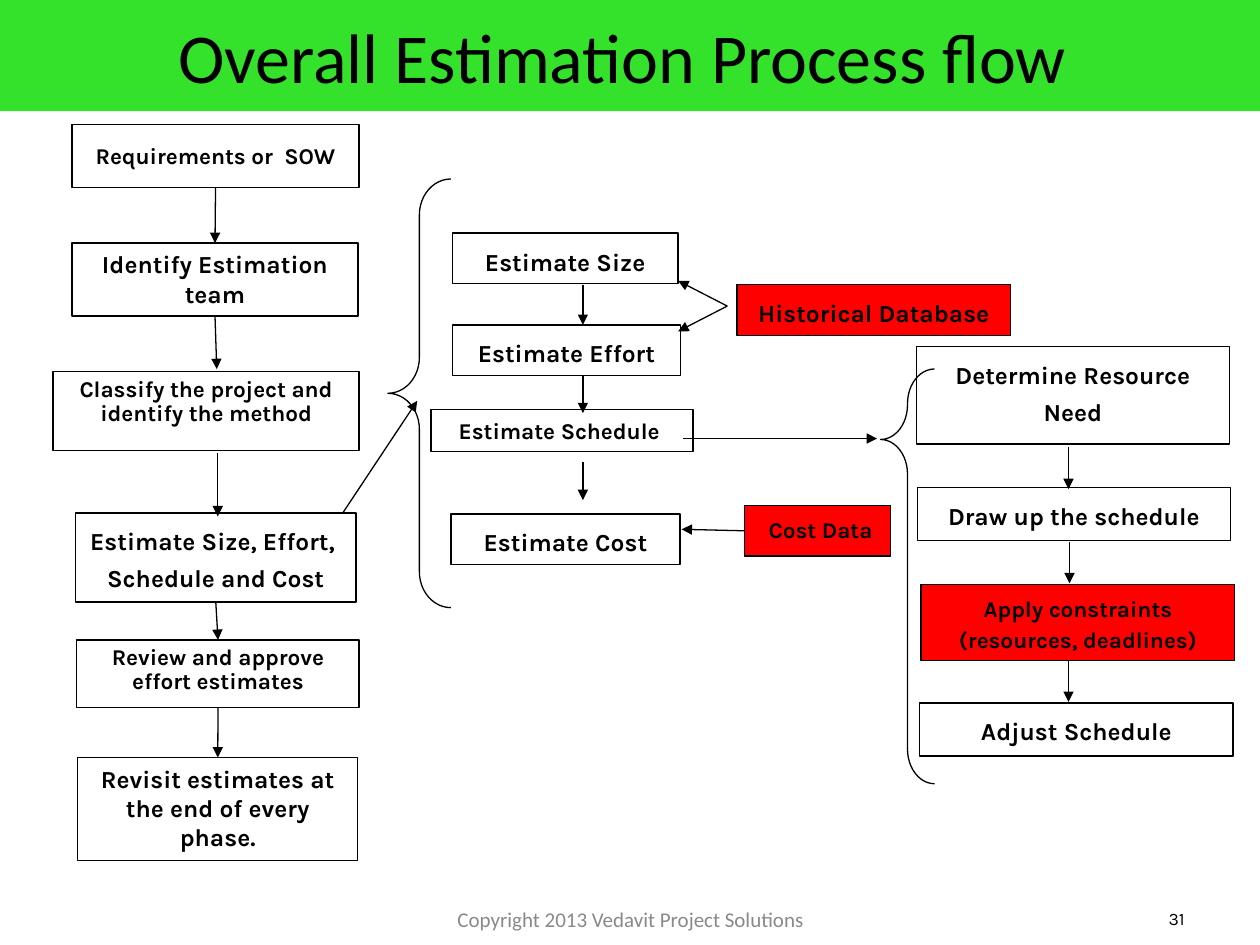
from dataclasses import dataclass
from typing import NamedTuple, Union

from pptx import Presentation
from pptx.dml.color import RGBColor
from pptx.enum.shapes import MSO_CONNECTOR as Conn, MSO_SHAPE as Shp
from pptx.enum.text import MSO_ANCHOR as Anchor, PP_ALIGN as Align
from pptx.oxml.ns import qn
from pptx.util import Cm, Pt
from lxml.etree import SubElement


@dataclass(frozen=True)
class Theme:
    black: RGBColor = RGBColor(0, 0, 0)
    white: RGBColor = RGBColor(255, 255, 255)
    red: RGBColor = RGBColor(255, 0, 0)
    green: RGBColor = RGBColor(0x34, 0xE1, 0x2B)
    grey: RGBColor = RGBColor(0x89, 0x89, 0x89)
    head_font: str = "Calibri"
    body_font: str = "Karla"
    title: float = 40
    large: float = 14
    small: float = 12.9
    footer: float = 12
    number: float = 10
    line: float = 0.75


T = Theme()


@dataclass(frozen=True)
class Box:
    key: str
    text: str
    x: float
    y: float
    w: float
    h: float
    size: float = T.large
    spacing: float = 1.25
    fill: RGBColor = T.white


class Point(NamedTuple):
    x: float
    y: float


class Side(NamedTuple):
    key: str
    site: int


End = Union[Point, Side]
TOP, LEFT, BOTTOM = 0, 1, 2


class Arrow(NamedTuple):
    start: End
    end: End


class Brace(NamedTuple):
    x: float
    y: float
    w: float
    h: float
    curve: float
    tip: float


BOXES = [
    Box("needs", "Requirements or  SOW", 1.45, 2.51, 5.79, 1.27, T.small, 1.4),
    Box("team", "Identify Estimation team", 1.45, 4.9, 5.77, 1.47, spacing=1),
    Box("classify", "Classify the project and identify the method",
        1.07, 7.49, 6.17, 1.6, T.small, 0.9),
    Box("estimate", "Estimate Size, Effort,  Schedule and Cost",
        1.52, 10.34, 5.66, 1.8),
    Box("review", "Review and approve effort estimates",
        1.55, 12.9, 5.69, 1.37, T.small, 0.9),
    Box("revisit", "Revisit estimates at the end of every phase.",
        1.57, 15.27, 5.64, 2.08, spacing=1),
    Box("size", "Estimate Size", 9.12, 4.7, 4.55, 1.02),
    Box("effort", "Estimate Effort", 9.12, 6.55, 4.6, 1.02),
    Box("schedule", "Estimate Schedule ", 8.69, 8.26, 5.28, 0.84, T.small, 1.05),
    Box("cost", "Estimate Cost", 9.09, 10.36, 4.62, 1.02),
    Box("history", "Historical Database", 14.86, 5.74, 5.51, 1.02, fill=T.red),
    Box("cost data", " Cost Data", 15.01, 10.19, 2.95, 1.02, T.small, 1.15, T.red),
    Box("resources", "Determine Resource Need", 18.47, 6.99, 6.32, 1.96),
    Box("draw up", "Draw up the schedule", 18.49, 9.83, 6.32, 1.07),
    Box("constraints", "Apply constraints (resources, deadlines)",
        18.57, 11.79, 6.32, 1.52, T.small, 1.15, T.red),
    Box("adjust", "Adjust Schedule", 18.54, 14.17, 6.32, 1.07),
]

ARROWS = [
    Arrow(Side("needs", BOTTOM), Side("team", TOP)),
    Arrow(Side("team", BOTTOM), Point(4.37, 7.44)),
    Arrow(Point(4.39, 9.14), Point(4.39, 10.41)),
    Arrow(Side("estimate", BOTTOM), Side("review", TOP)),
    Arrow(Side("review", BOTTOM), Side("revisit", TOP)),
    Arrow(Point(6.91, 10.34), Point(8.41, 8.08)),
    Arrow(Point(11.75, 5.74), Point(11.75, 6.55)),
    Arrow(Point(11.75, 7.57), Point(11.75, 8.33)),
    Arrow(Point(11.75, 9.32), Point(11.75, 10.08)),
    Arrow(Point(14.66, 6.17), Point(13.67, 6.68)),
    Arrow(Point(14.66, 6.17), Point(13.67, 5.66)),
    Arrow(Point(13.77, 8.84), Point(17.68, 8.84)),
    Arrow(Side("cost data", LEFT), Point(13.74, 10.67)),
    Arrow(Point(21.54, 9.02), Point(21.54, 9.86)),
    Arrow(Point(21.56, 10.92), Point(21.56, 11.76)),
    Arrow(Point(21.54, 13.31), Point(21.54, 14.15)),
]

BRACES = [
    Brace(7.82, 3.61, 1.27, 8.64, 0.57, 0.5),
    Brace(17.75, 7.44, 1.09, 8.36, 0.64, 0.17),
]


def write(s, text: str, size: float, font: str, color: RGBColor,
          align=Align.CENTER, anchor=Anchor.MIDDLE, bold=False, spacing=1.0) -> None:
    tf = s.text_frame
    tf.word_wrap = True
    tf.vertical_anchor = anchor
    p = tf.paragraphs[0]
    p.alignment = align
    p.line_spacing = spacing
    r = p.add_run()
    r.text = text
    r.font.size = Pt(size)
    r.font.name = font
    r.font.bold = bold
    r.font.color.rgb = color


def outline(s) -> None:
    s.line.color.rgb = T.black
    s.line.width = Pt(T.line)


def add_title(slide, text: str) -> None:
    s = slide.shapes.title
    s.left, s.top, s.width, s.height = Cm(0), Cm(0), Cm(25.4), Cm(2.24)
    s.fill.solid()
    s.fill.fore_color.rgb = T.green
    write(s, text, T.title, T.head_font, T.black)


def add_box(slide, b: Box):
    s = slide.shapes.add_shape(Shp.RECTANGLE, Cm(b.x), Cm(b.y), Cm(b.w), Cm(b.h))
    s.shadow.inherit = False
    s.fill.solid()
    s.fill.fore_color.rgb = b.fill
    outline(s)
    write(s, b.text, b.size, T.body_font, T.black,
          anchor=Anchor.TOP, bold=True, spacing=b.spacing)
    return s


def add_arrow(slide, a: Arrow, shapes: dict) -> None:
    c = slide.shapes.add_connector(Conn.STRAIGHT, 0, 0, 0, 0)
    if isinstance(a.start, Side):
        c.begin_connect(shapes[a.start.key], a.start.site)
    else:
        c.begin_x, c.begin_y = Cm(a.start.x), Cm(a.start.y)
    if isinstance(a.end, Side):
        c.end_connect(shapes[a.end.key], a.end.site)
    else:
        c.end_x, c.end_y = Cm(a.end.x), Cm(a.end.y)
    outline(c)
    pr = c._element.spPr
    SubElement(pr.find(qn("a:ln")), qn("a:tailEnd"), type="triangle")
    SubElement(pr, qn("a:effectLst"))


def add_brace(slide, b: Brace) -> None:
    s = slide.shapes.add_shape(Shp.LEFT_BRACE, Cm(b.x), Cm(b.y), Cm(b.w), Cm(b.h))
    s.adjustments[0], s.adjustments[1] = b.curve, b.tip
    s.shadow.inherit = False
    s.fill.background()
    outline(s)


def main() -> None:
    prs = Presentation()
    prs.slide_width, prs.slide_height = Cm(25.4), Cm(19.05)
    slide = prs.slides.add_slide(prs.slide_layouts[5])
    add_title(slide, "Overall Estimation Process flow ")
    s = slide.shapes.add_textbox(Cm(8.69), Cm(18.01), Cm(8.05), Cm(1.02))
    write(s, "Copyright 2013 Vedavit Project Solutions", T.footer, T.head_font, T.grey)
    s = slide.shapes.add_textbox(Cm(18.21), Cm(18.01), Cm(5.92), Cm(1.02))
    write(s, "31", T.number, T.body_font, T.black, Align.RIGHT)
    shapes = {b.key: add_box(slide, b) for b in BOXES}
    for b in BRACES:
        add_brace(slide, b)
    for a in ARROWS:
        add_arrow(slide, a, shapes)
    prs.save("out.pptx")


if __name__ == "__main__":
    main()
